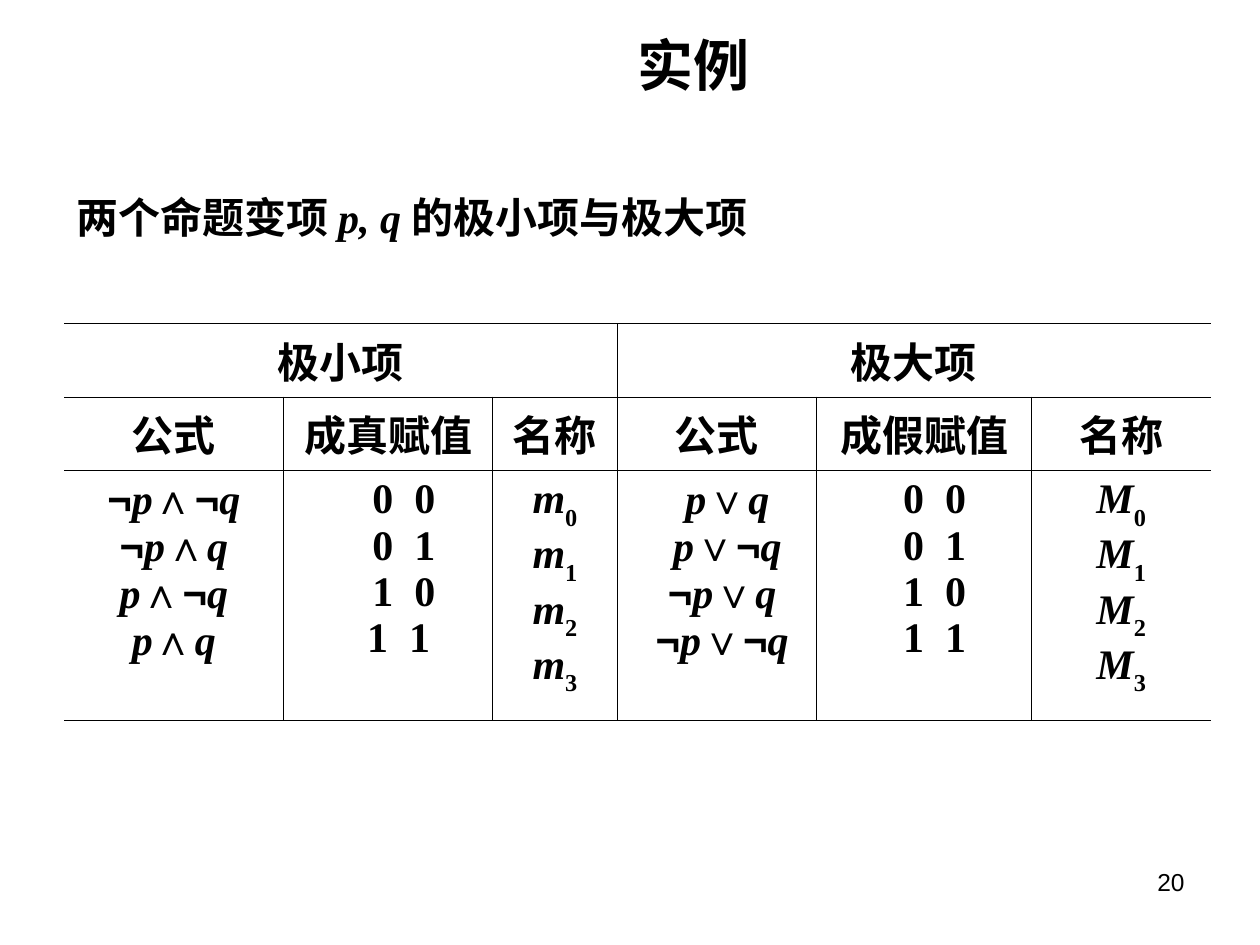
from itertools import groupby

from lxml import etree
from pptx import Presentation
from pptx.dml.color import RGBColor
from pptx.enum.text import MSO_ANCHOR, PP_ALIGN
from pptx.oxml.ns import qn
from pptx.util import Inches, Pt

BLACK = RGBColor(0x00, 0x00, 0x00)
CENTER, RIGHT, JUSTIFY = PP_ALIGN.CENTER, PP_ALIGN.RIGHT, PP_ALIGN.JUSTIFY
TOP, MIDDLE = MSO_ANCHOR.TOP, MSO_ANCHOR.MIDDLE
EAST_ASIAN_FONT = "Noto Sans CJK SC"

PLAIN = {"name": "Arial", "size": Pt(14), "bold": False}
TITLE = {"name": "Arial", "size": Pt(32), "bold": True}
SYMBOL = {"name": "Arial", "size": Pt(24), "bold": True, "italic": False}
HEADING = {**SYMBOL, "name": EAST_ASIAN_FONT}
DIGIT = {**SYMBOL, "name": "Times New Roman"}
VARIABLE = {**DIGIT, "italic": True}

COLUMN_WIDTHS = (1.74, 1.66, 0.99, 1.58, 1.71, 1.42)
ROW_HEIGHTS = (0.58, 0.58, 1.99)
GROUPS = ("极小项", "极大项")
COLUMN_HEADINGS = ("公式", "成真赋值", "名称", "公式", "成假赋值", "名称")
MINTERMS = ("¬p∧¬q", "¬p∧q", "p∧¬q", "p∧q")
MAXTERMS = ("p∨q", "p∨¬q", "¬p∨q", "¬p∨¬q")
ASSIGNMENTS = ("0  0", "0  1", "1  0", "1  1")


def add_run(paragraph, text, style, subscript=False):
    """Add one styled run to a paragraph."""
    run = paragraph.add_run()
    run.text = text
    for attribute, value in style.items():
        setattr(run.font, attribute, value)
    run.font.color.rgb = BLACK
    properties = run.font._element
    etree.SubElement(properties, qn("a:ea")).set("typeface", EAST_ASIAN_FONT)
    if subscript:
        properties.set("baseline", "-30000")


def fill_paragraphs(text_frame, lines, alignment, indents=None):
    """Write lines of (text, style, ...) runs, with optional left indents in points."""
    for index, line in enumerate(lines):
        paragraph = text_frame.add_paragraph() if index else text_frame.paragraphs[0]
        paragraph.alignment = alignment
        if indents:
            paragraph._p.get_or_add_pPr().set("marL", str(Pt(indents[index])))
        for run in line:
            add_run(paragraph, *run)


def add_text(slide, box, runs, alignment, anchor=TOP):
    """Place a one-paragraph text box."""
    text_frame = slide.shapes.add_textbox(*map(Inches, box)).text_frame
    text_frame.word_wrap = True
    text_frame.vertical_anchor = anchor
    fill_paragraphs(text_frame, [runs], alignment)


def formula_runs(formula):
    """Split a formula into italic variables and upright symbols."""
    return [("".join(characters), VARIABLE if is_variable else SYMBOL)
            for is_variable, characters in groupby(formula, str.isalpha)]


def name_lines(letter):
    """Return the four numbered names of a kind of term."""
    return [[(letter, VARIABLE), (str(number), DIGIT, True)] for number in range(4)]


def set_borders(cell, left, right):
    """Rule a cell above and below, and at the sides that are asked for."""
    properties = cell._tc.get_or_add_tcPr()
    for side, visible in (("L", left), ("R", right), ("T", True), ("B", True)):
        line = etree.SubElement(properties, qn("a:ln" + side))
        line.set("w", str(Pt(0.45)))
        if visible:
            fill = etree.SubElement(line, qn("a:solidFill"))
            etree.SubElement(fill, qn("a:srgbClr")).set("val", str(BLACK))
        else:
            etree.SubElement(line, qn("a:noFill"))
    cell.fill.background()


def add_terms_table(slide, box):
    """Place the table of minterms and maxterms."""
    table = slide.shapes.add_table(
        len(ROW_HEIGHTS), len(COLUMN_WIDTHS), *map(Inches, box)).table
    table.first_row = table.horz_banding = False
    for column, width in zip(table.columns, COLUMN_WIDTHS):
        column.width = Inches(width)
    for row, height in zip(table.rows, ROW_HEIGHTS):
        row.height = Inches(height)

    last = len(COLUMN_WIDTHS) - 1
    for row in range(len(ROW_HEIGHTS)):
        for column in range(len(COLUMN_WIDTHS)):
            first_edge = column // 3 * 3 if row == 0 else column
            last_edge = first_edge + 2 if row == 0 else column
            set_borders(table.cell(row, column), first_edge > 0, last_edge < last)

    for index, group in enumerate(GROUPS):
        cell = table.cell(0, index * 3)
        cell.merge(table.cell(0, index * 3 + 2))
        fill_paragraphs(cell.text_frame, [[(group, HEADING)]], CENTER)

    assignments = [[(text, DIGIT)] for text in ASSIGNMENTS]
    bodies = (
        (map(formula_runs, MINTERMS), None),
        (assignments, (18, 18, 18, 12)),
        (name_lines("m"), None),
        (map(formula_runs, MAXTERMS), (12, 12, 6, 6)),
        (assignments, (12, 12, 12, 12)),
        (name_lines("M"), None),
    )
    for column, (heading, (lines, indents)) in enumerate(zip(COLUMN_HEADINGS, bodies)):
        fill_paragraphs(table.cell(1, column).text_frame, [[(heading, HEADING)]], CENTER)
        fill_paragraphs(table.cell(2, column).text_frame, lines, CENTER, indents)


def main():
    """Build and save the slide."""
    presentation = Presentation()
    presentation.slide_width, presentation.slide_height = Inches(10), Inches(7.5)
    slide = presentation.slides.add_slide(presentation.slide_layouts[6])
    add_text(slide, (7.17, 6.83, 2.33, 0.52), [("20", PLAIN)], RIGHT)
    add_text(slide, (2.16, 0.28, 6.69, 0.46), [("实例", TITLE)], CENTER, MIDDLE)
    introduction = [("两个命题变项 ", SYMBOL), ("p, q ", VARIABLE),
                    ("的极小项与极大项", SYMBOL)]
    add_text(slide, (0.51, 1.47, 9, 0.58), introduction, JUSTIFY)
    add_terms_table(slide, (0.51, 2.57, 9.1, 3.15))
    presentation.save("out.pptx")


if __name__ == "__main__":
    main()
